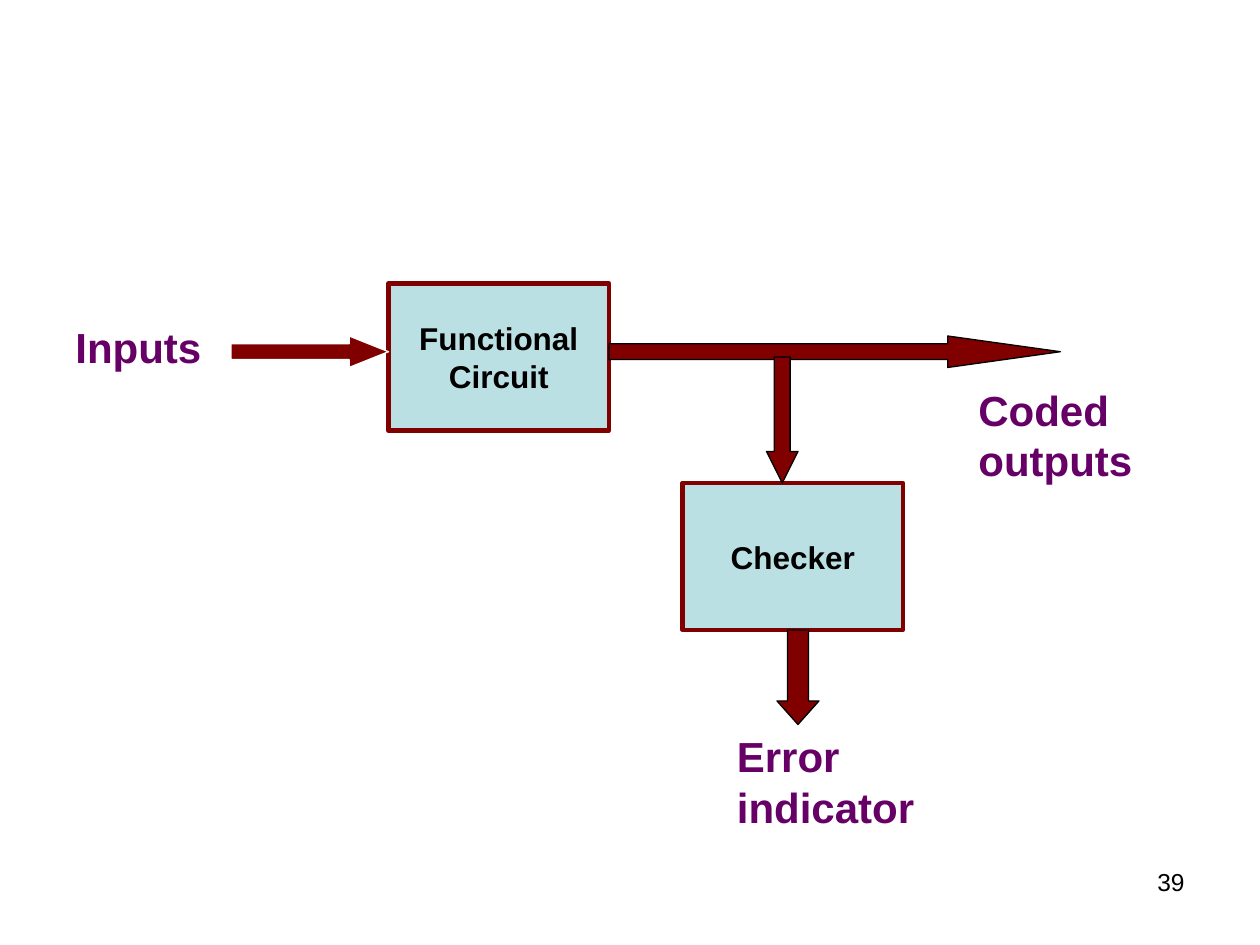
from pptx import Presentation
from pptx.dml.color import RGBColor
from pptx.enum.shapes import MSO_SHAPE as Shape
from pptx.enum.text import MSO_ANCHOR as Anchor, PP_ALIGN as Align
from pptx.util import Inches, Pt

MAROON = RGBColor(0x80, 0x00, 0x00)
PALE_BLUE = RGBColor(0xBB, 0xE0, 0xE3)
PURPLE = RGBColor(0x66, 0x00, 0x66)
BLACK = RGBColor(0x00, 0x00, 0x00)
WHITE = RGBColor(0xFF, 0xFF, 0xFF)

presentation = Presentation()
presentation.slide_width = Inches(10)
presentation.slide_height = Inches(7.5)
slide = presentation.slides.add_slide(presentation.slide_layouts[6])
CELL = presentation.slide_width / 120


def grid(*cells):
    return [round(cell * CELL) for cell in cells]


def write(shape, text, size=24, color=PURPLE, bold=True, align=Align.LEFT,
          anchor=Anchor.TOP, wrap=True):
    frame = shape.text_frame
    frame.word_wrap = wrap
    frame.vertical_anchor = anchor
    frame.text = text
    for paragraph in frame.paragraphs:
        paragraph.alignment = align
        paragraph.font.name = "Arial"
        paragraph.font.size = Pt(size)
        paragraph.font.bold = bold
        paragraph.font.color.rgb = color


BOX_WIDTH, BOX_HEIGHT = 21, 14
boxes = [("Functional\nCircuit", 37, 27), ("Checker", 65, 46)]
arrows = [
    (Shape.RIGHT_ARROW, (22, 32, 15, 3), 1.25, WHITE),
    (Shape.RIGHT_ARROW, (58, 32, 43, 3), 3.58, BLACK),
    (Shape.DOWN_ARROW, (73, 34, 3, 12), 1, BLACK),
    (Shape.DOWN_ARROW, (74, 60, 4, 9), 0.56, BLACK),
]
labels = [
    ("Inputs", (6, 30, 20, 6)),
    ("Error indicator", (69, 69, 20, 10.8)),
    ("Coded outputs", (92, 36, 20, 10.8)),
]

for text, column, row in boxes:
    box = slide.shapes.add_shape(
        Shape.RECTANGLE, *grid(column, row, BOX_WIDTH, BOX_HEIGHT))
    box.shadow.inherit = False
    box.fill.solid()
    box.fill.fore_color.rgb = PALE_BLUE
    box.line.color.rgb = MAROON
    box.line.width = Pt(2.5)
    write(box, text, size=18, color=BLACK, align=Align.CENTER,
          anchor=Anchor.MIDDLE, wrap=False)

for kind, area, head, outline in arrows:
    arrow = slide.shapes.add_shape(kind, *grid(*area))
    arrow.shadow.inherit = False
    arrow.adjustments[0] = 0.5
    arrow.adjustments[1] = head
    arrow.fill.solid()
    arrow.fill.fore_color.rgb = MAROON
    arrow.line.color.rgb = outline
    arrow.line.width = Pt(0.75)

for text, area in labels:
    write(slide.shapes.add_textbox(*grid(*area)), text)

page_number = slide.shapes.add_textbox(*grid(86, 82, 28, 6.25))
write(page_number, "39", size=14, color=BLACK, bold=False, align=Align.RIGHT)

presentation.save("out.pptx")
